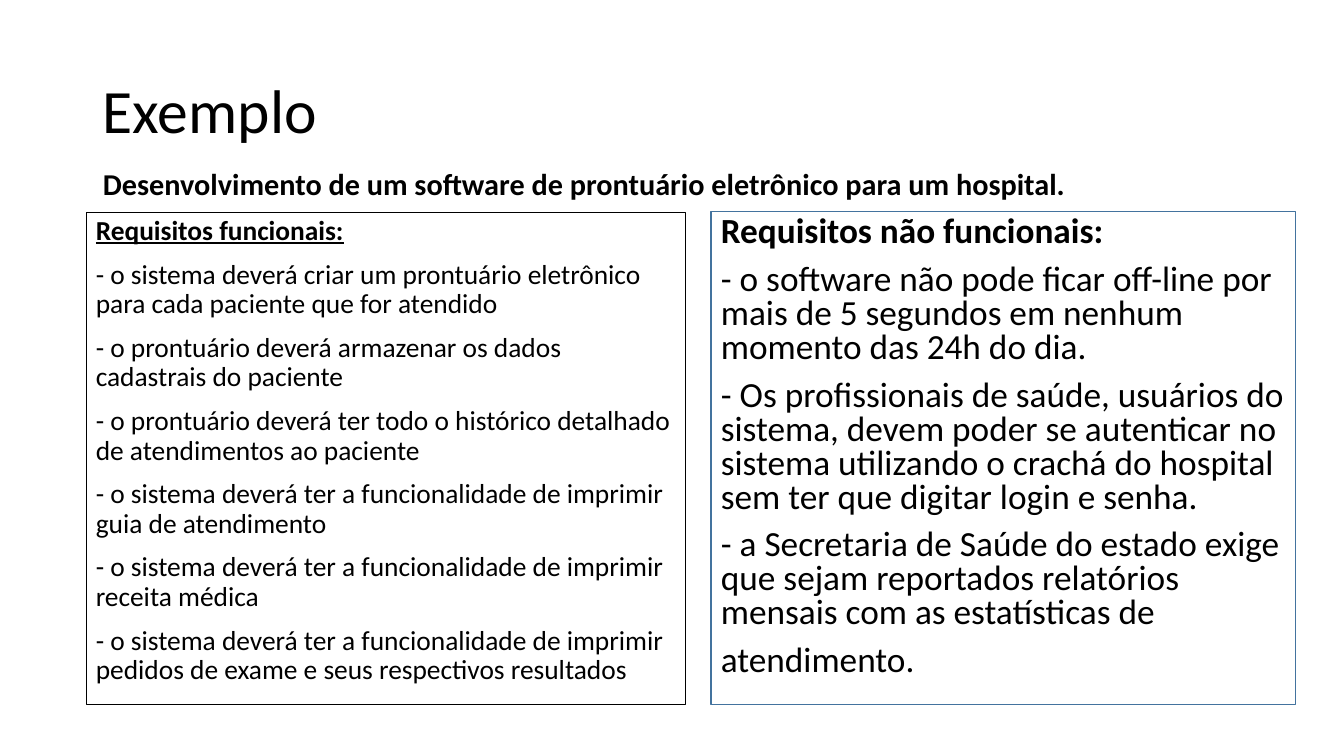
import pptx
import pptx.util
import pptx.dml.color
import pptx.enum.text
from lxml import etree

Inches, Pt = pptx.util.Inches, pptx.util.Pt
ALIGN, ANCHOR = pptx.enum.text.PP_ALIGN, pptx.enum.text.MSO_ANCHOR
RGB = pptx.dml.color.RGBColor.from_string
COLORS = {"text": "000000", "functional": "000000", "nonfunctional": "43739E"}
FONT = "Calibri"

FUNCTIONAL = [
    "Requisitos funcionais:",
    "- o sistema deverá criar um prontuário eletrônico para cada paciente que for atendido",
    "- o prontuário deverá armazenar os dados cadastrais do paciente",
    "- o prontuário deverá ter todo o histórico detalhado de atendimentos ao paciente",
    "- o sistema deverá ter a funcionalidade de imprimir guia de atendimento",
    "- o sistema deverá ter a funcionalidade de imprimir receita médica",
    "- o sistema deverá ter a funcionalidade de imprimir pedidos de exame "
    "e seus respectivos resultados",
]
NONFUNCTIONAL = [
    "Requisitos não funcionais:",
    "- o software não pode ficar off-line por mais de 5 segundos em nenhum "
    "momento das 24h do dia.",
    "- Os profissionais de saúde, usuários do sistema, devem poder se autenticar "
    "no sistema utilizando o crachá do hospital sem ter que digitar login e senha.",
    "- a Secretaria de Saúde do estado exige que sejam reportados relatórios "
    "mensais com as estatísticas de",
    "atendimento.",
]


def fill_text(sp, box, lines, size, spacing=0.9, before=10, anchor=ANCHOR.TOP):
    """Place a placeholder in box and write plain, unbulleted lines."""
    sp.left, sp.top, sp.width, sp.height = (Inches(v) for v in box)
    tf = sp.text_frame
    tf.text = "\n".join(lines)
    tf.word_wrap = True
    tf.auto_size = pptx.enum.text.MSO_AUTO_SIZE.NONE
    tf.vertical_anchor = anchor
    for p in tf.paragraphs:
        p.alignment = ALIGN.LEFT
        p.line_spacing = spacing
        p.space_before = Pt(before)
        pPr = p._p.get_or_add_pPr()
        pPr.set("marL", "0")
        pPr.set("indent", "0")
        etree.SubElement(pPr, pptx.oxml.ns.qn("a:buNone"))
        for r in p.runs:
            r.font.name = FONT
            r.font.size = Pt(size)
            r.font.bold = False
            r.font.color.rgb = RGB(COLORS["text"])
    return tf


def add_heading(title, subtitle, box):
    """Title with the project sentence beneath it."""
    x, y, w, h = box
    fill_text(title, (x, y, w, 1.45), ["Exemplo"], 44, before=0, anchor=ANCHOR.MIDDLE)
    tf = fill_text(
        subtitle, (x, y + h - 0.46, w, 0.46),
        ["Desenvolvimento de um software de prontuário eletrônico para um hospital."],
        21.6, anchor=ANCHOR.BOTTOM)
    tf.paragraphs[0].runs[0].font.bold = True


def add_requirements(sp, box, lines, size, spacing, color, line_width, underline):
    """Outlined list whose first line is a bold heading."""
    tf = fill_text(sp, box, lines, size, spacing)
    font = tf.paragraphs[0].runs[0].font
    font.bold = True
    font.underline = underline
    sp.line.color.rgb = RGB(COLORS[color])
    sp.line.width = Pt(line_width)


def build_slide(prs):
    s = prs.slides.add_slide(prs.slide_layouts.get_by_name("Comparison"))
    parts = {sp.placeholder_format.idx: sp for sp in s.placeholders}
    add_heading(parts[0], parts[1], (0.92, 0.4, 11.5, 1.65))

    # Requirement columns
    top, height = 2.1, 4.89
    add_requirements(parts[2], (0.85, top, 5.95, height), FUNCTIONAL,
                     19.6, 0.9, "functional", 0.25, True)
    add_requirements(parts[4], (7.05, top, 5.8, height), NONFUNCTIONAL,
                     25.2, 0.8, "nonfunctional", 1, False)

    # Unused second column heading
    spare = parts[3].element
    spare.getparent().remove(spare)


prs = pptx.Presentation()
prs.slide_width, prs.slide_height = Inches(13.33), Inches(7.5)
build_slide(prs)
prs.save("out.pptx")
